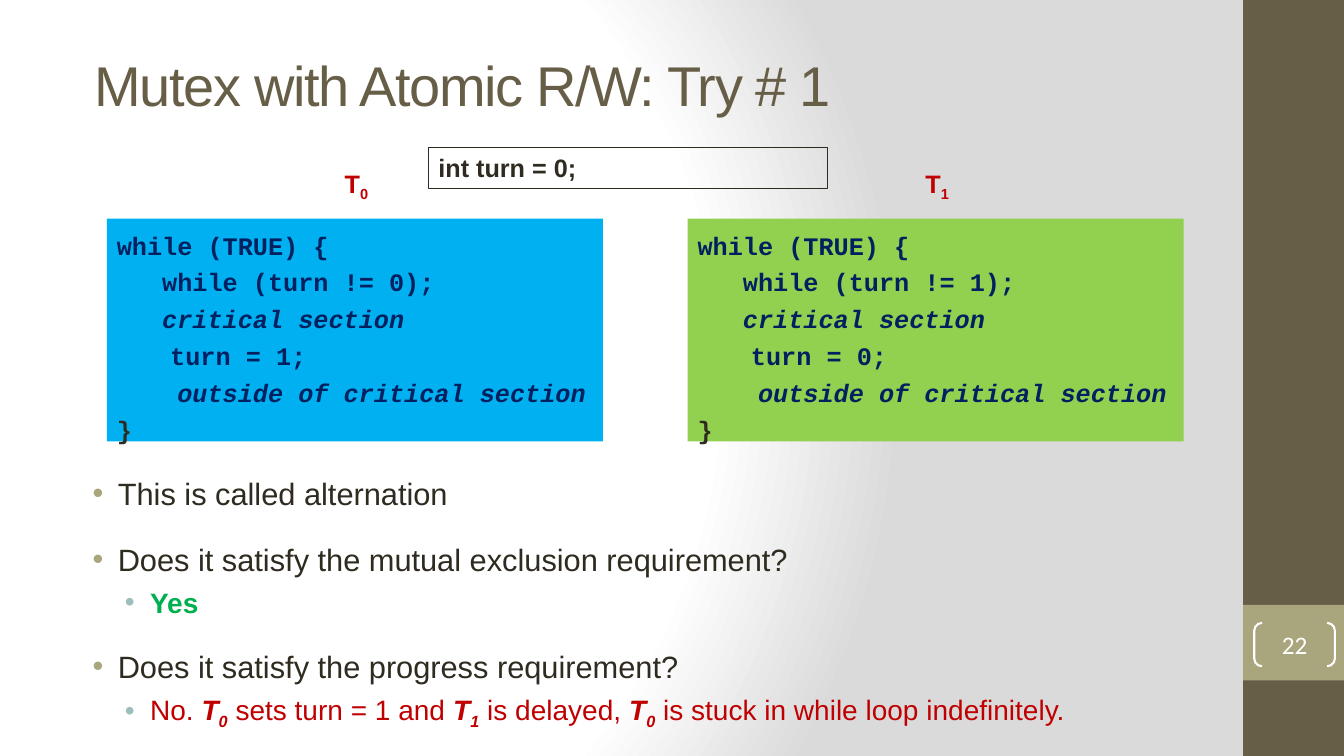
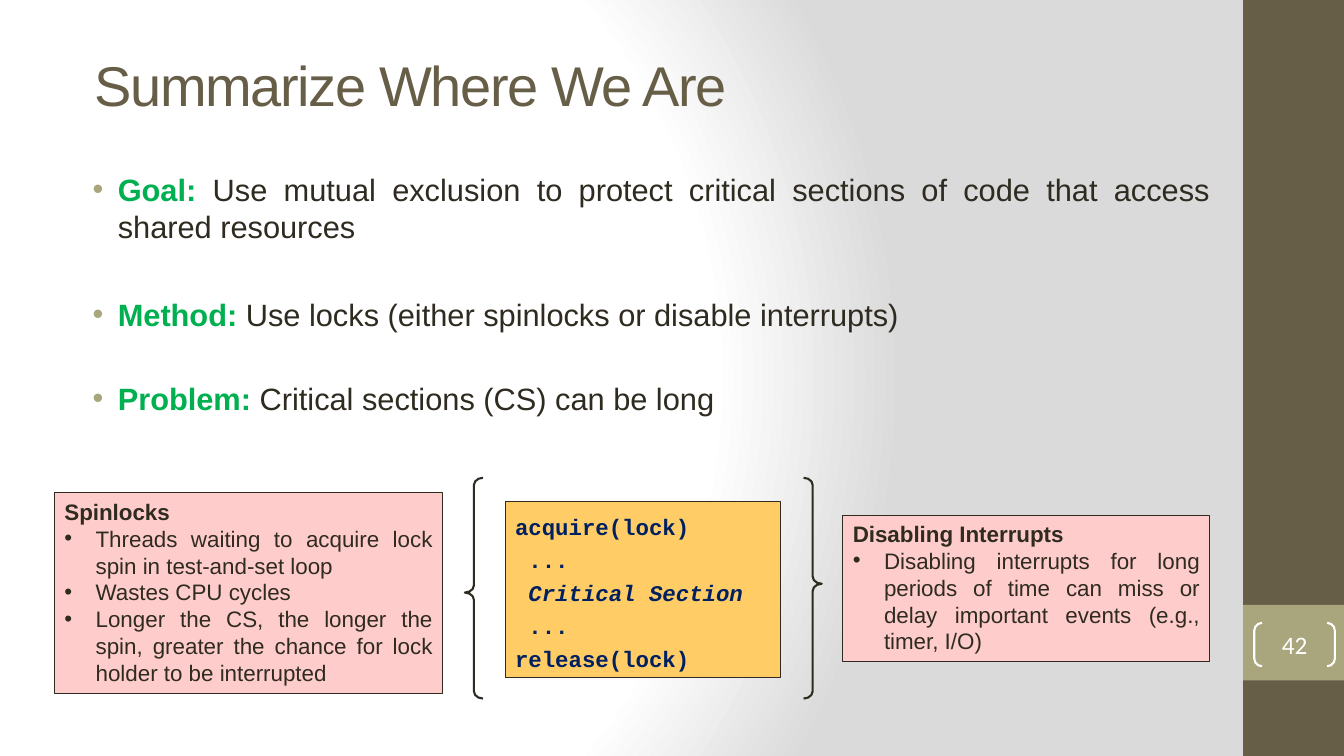
from pptx import Presentation
from pptx.dml.color import RGBColor
from pptx.enum.shapes import MSO_SHAPE
from pptx.enum.text import MSO_ANCHOR, PP_ALIGN
from pptx.oxml import parse_xml
from pptx.oxml.ns import nsdecls
from pptx.util import Inches, Pt

RECT = MSO_SHAPE.RECTANGLE
BRACKETS = MSO_SHAPE.DOUBLE_BRACKET
BRACE = MSO_SHAPE.RIGHT_BRACE
TOP, MIDDLE = MSO_ANCHOR.TOP, MSO_ANCHOR.MIDDLE
LEFT, CENTER, JUSTIFY = PP_ALIGN.LEFT, PP_ALIGN.CENTER, PP_ALIGN.JUSTIFY

WHITE = RGBColor(0xFF, 0xFF, 0xFF)
INK = RGBColor(0x2F, 0x2B, 0x20)
BROWN = RGBColor(0x67, 0x5E, 0x47)
KHAKI = RGBColor(0xA9, 0xA5, 0x7C)
TEAL = RGBColor(0x9C, 0xBE, 0xBD)
SHADE = RGBColor(0xDA, 0xDA, 0xDA)
GREEN = RGBColor(0x00, 0xB0, 0x50)
RED = RGBColor(0xC0, 0x00, 0x00)
NAVY = RGBColor(0x00, 0x20, 0x60)
BLUE = RGBColor(0x00, 0xB0, 0xF0)
LIME = RGBColor(0x92, 0xD0, 0x50)
AMBER = RGBColor(0xFF, 0xCC, 0x66)
PINK = RGBColor(0xFF, 0xCC, 0xCC)

TITLE = {"name": "Arial", "size": Pt(40), "color": BROWN, "spc": -100}
NUMBER = {"name": "Calibri", "size": Pt(18), "color": WHITE}
BODY = {"name": "Arial", "size": Pt(22), "color": INK}
SUB = BODY | {"size": Pt(20)}
NOTE = BODY | {"size": Pt(16)}
LABEL = BODY | {"size": Pt(18), "bold": True}
THREAD = LABEL | {"color": RED}
CODE = {"name": "Courier New", "size": Pt(18), "color": NAVY, "bold": True}
SMALL_CODE = CODE | {"size": Pt(16)}
BOLD = {"bold": True}
ITALIC = {"italic": True}
BOLD_ITALIC = BOLD | ITALIC
SUBSCRIPT = {"baseline": -25000}
KEYWORD = BOLD | {"color": GREEN}
ANSWER = {"color": RED}


def set_font(r, fmt):
    for key, value in fmt.items():
        if key == "color":
            r.font.color.rgb = value
        elif key in ("baseline", "spc"):
            r._r.get_or_add_rPr().set(key, str(value))
        else:
            setattr(r.font, key, value)


def indent(p, margin, hang, bullet=False, color=None):
    pPr = p._p.get_or_add_pPr()
    pPr.set("marL", str(Inches(margin)))
    pPr.set("indent", str(-Inches(hang)))
    if not bullet:
        return
    if color is not None:
        pPr.append(parse_xml(
            f'<a:buClr {nsdecls("a")}><a:srgbClr val="{color}"/></a:buClr>'))
    pPr.append(parse_xml(f'<a:buFont {nsdecls("a")} typeface="Arial"/>'))
    pPr.append(parse_xml(f'<a:buChar {nsdecls("a")} char="•"/>'))


def add_paragraph(tf, runs, fmt, first=False, align=LEFT, before=0, layout=None):
    p = tf.paragraphs[0] if first else tf.add_paragraph()
    if layout:
        indent(p, **layout)
    p.alignment = align
    if before and not first:
        p.space_before = Pt(before)
    for text, extra in runs:
        r = p.add_run()
        r.text = text
        set_font(r, fmt | extra)


def frame(sp, anchor=TOP, wrap=True, inset=(0.1, 0.05)):
    tf = sp.text_frame
    across, top = inset
    values = {"word_wrap": wrap, "vertical_anchor": anchor,
              "margin_left": Inches(across), "margin_right": Inches(across),
              "margin_top": Inches(top), "margin_bottom": Inches(min(top, 0.05))}
    for key, value in values.items():
        setattr(tf, key, value)
    return tf


def add_shape(s, kind, box, fill=None, line=None, width=0.75):
    sp = s.shapes.add_shape(kind, *map(Inches, box))
    sp.shadow.inherit = False
    if fill is None:
        sp.fill.background()
    else:
        sp.fill.solid()
        sp.fill.fore_color.rgb = fill
    if line is None:
        sp.line.fill.background()
    else:
        sp.line.color.rgb = line
        sp.line.width = Pt(width)
    return sp


def add_text(s, box, **options):
    return frame(s.shapes.add_textbox(*map(Inches, box)), **options)


def add_background(s):
    stops = "".join(f'<a:gs pos="{pos * 1000}"><a:srgbClr val="{color}"/></a:gs>'
                    for pos, color in ((0, WHITE), (75, WHITE), (100, SHADE)))
    s._element.cSld.insert(0, parse_xml(
        f'<p:bg {nsdecls("p", "a")}><p:bgPr><a:gradFill rotWithShape="1">'
        f'<a:gsLst>{stops}</a:gsLst><a:path path="circle">'
        '<a:fillToRect l="20000" t="50000" r="100000" b="50000"/></a:path>'
        '</a:gradFill><a:effectLst/></p:bgPr></p:bg>'))


def add_side_band(s, box, number):
    x, y, w, h = box
    add_shape(s, RECT, box, BROWN)
    add_shape(s, RECT, (x, y + 6, w, 0.75), KHAKI)
    sp = add_shape(s, BRACKETS, (x + 0.11, y + 6.18, 0.8, 0.43), line=WHITE, width=1.5)
    sp.adjustments[0] = 0.18
    tf = frame(sp, MIDDLE, inset=(0, 0))
    add_paragraph(tf, [(number, {})], NUMBER, first=True, align=CENTER)


def new_slide(prs, title, number):
    s = prs.slides.add_slide(prs.slide_layouts[6])
    add_background(s)
    add_side_band(s, (12.33, 0, 1, 7.5), number)
    tf = add_text(s, (0.84, 0.61, 10.91, 0.45), anchor=MIDDLE)
    add_paragraph(tf, [(title, {})], TITLE, first=True)
    return s


def add_bullets(s, box, items):
    tf = add_text(s, box, inset=(0.1, 0.1))
    for i, (level, before, runs) in enumerate(items):
        margin, color, fmt = ((0.38, KHAKI, BODY), (0.7, TEAL, SUB))[level]
        add_paragraph(tf, runs, fmt, i == 0, JUSTIFY, before,
                      dict(margin=margin, hang=0.25, bullet=True, color=color))


def add_code(s, box, lines, fmt, fill, before, line=None):
    tf = frame(add_shape(s, RECT, box, fill, line), inset=(0.1, 0.11))
    for i, runs in enumerate(lines):
        add_paragraph(tf, runs, fmt, i == 0, before=before,
                      layout=dict(margin=0.38, hang=0.38))


def add_thread(s, box, own, other, fill):
    x, y, w, h = box
    tf = add_text(s, (x + 2.26, y - 0.55, 0.45, 0.41), wrap=False)
    add_paragraph(tf, [("T", {}), (own, SUBSCRIPT)], THREAD, first=True)
    lines = [
        [("while (TRUE) {", {})],
        [(f"   while (turn != {own});", {})],
        [("   ", {}), ("critical section", ITALIC)],
        [(f"\t turn = {other};", {})],
        [("    ", {}), ("outside of critical section", ITALIC)],
        [("}", {"color": INK})],
    ]
    add_code(s, box, lines, CODE, fill, 4.7)


def add_note(s, box, heading, points):
    tf = frame(add_shape(s, RECT, box, PINK, INK))
    add_paragraph(tf, [(heading, BOLD)], NOTE, first=True, align=JUSTIFY)
    for point in points:
        add_paragraph(tf, [(point, {})], NOTE, align=JUSTIFY,
                      layout=dict(margin=0.31, hang=0.31, bullet=True))


def add_brace(s, box, rotation):
    sp = add_shape(s, BRACE, box, line=INK, width=1.5)
    sp.adjustments[0] = 0.4
    sp.adjustments[1] = 0.48
    sp.rotation = rotation


def thread_name(number):
    return [("T", ANSWER | BOLD_ITALIC), (number, ANSWER | BOLD_ITALIC | SUBSCRIPT)]


def mutex_slide(prs):
    s = new_slide(prs, "Mutex with Atomic R/W: Try # 1", "22")
    add_bullets(s, (0.69, 4.61, 11.45, 2.81), [
        (0, 0, [("This is called alternation", {})]),
        (0, 20.5, [("Does it satisfy the mutual exclusion requirement?", {})]),
        (1, 5.5, [("Yes", KEYWORD)]),
        (0, 20.5, [("Does it satisfy the progress requirement?", {})]),
        (1, 5.5, [("No. ", ANSWER), *thread_name("0"),
                  (" sets turn = 1 and ", ANSWER), *thread_name("1"),
                  (" is delayed, ", ANSWER), *thread_name("0"),
                  (" is stuck in while loop indefinitely.", ANSWER)]),
    ])
    add_thread(s, (1.06, 2.17, 4.92, 2.21), "0", "1", BLUE)
    add_thread(s, (6.82, 2.17, 4.92, 2.21), "1", "0", LIME)
    tf = frame(add_shape(s, RECT, (4.25, 1.46, 3.95, 0.41), line=INK, width=0.25))
    add_paragraph(tf, [("int turn = 0;", {})], LABEL, first=True)


def summary_slide(prs):
    s = new_slide(prs, "Summarize Where We Are", "42")
    add_bullets(s, (0.69, 1.59, 11.41, 2.85), [
        (0, 0, [("Goal:", KEYWORD),
                (" Use mutual exclusion to protect critical sections of code "
                 "that access shared resources", {})]),
        (0, 36.5, [("Method: ", KEYWORD),
                   ("Use locks (either spinlocks or disable interrupts)", {})]),
        (0, 33.5, [("Problem:", KEYWORD), (" Critical sections (CS) can be long", {})]),
    ])
    add_code(s, (5.01, 4.98, 2.73, 1.74), [
        [("acquire(lock)", {})],
        [(" ...", {})],
        [(" ", {}), ("Critical Section", ITALIC)],
        [(" ...", {})],
        [("release(lock)", {})],
    ], SMALL_CODE, AMBER, 4.4, INK)
    for x, rotation in ((7.97, 0), (4.61, 180)):
        add_brace(s, (x, 4.74, 0.18, 2.19), rotation)
    add_note(s, (0.54, 4.89, 3.85, 1.99), "Spinlocks", [
        "Threads waiting to acquire lock spin in test-and-set loop",
        "Wastes CPU cycles",
        "Longer the CS, the longer the spin, greater the chance for lock "
        "holder to be interrupted",
    ])
    add_note(s, (8.36, 5.11, 3.64, 1.45), "Disabling Interrupts", [
        "Disabling interrupts for long periods of time can miss or delay "
        "important events (e.g., timer, I/O)",
    ])


def main():
    prs = Presentation()
    prs.slide_width = Inches(13.33)
    prs.slide_height = Inches(7.5)
    mutex_slide(prs)
    summary_slide(prs)
    prs.save("out.pptx")


if __name__ == "__main__":
    main()
